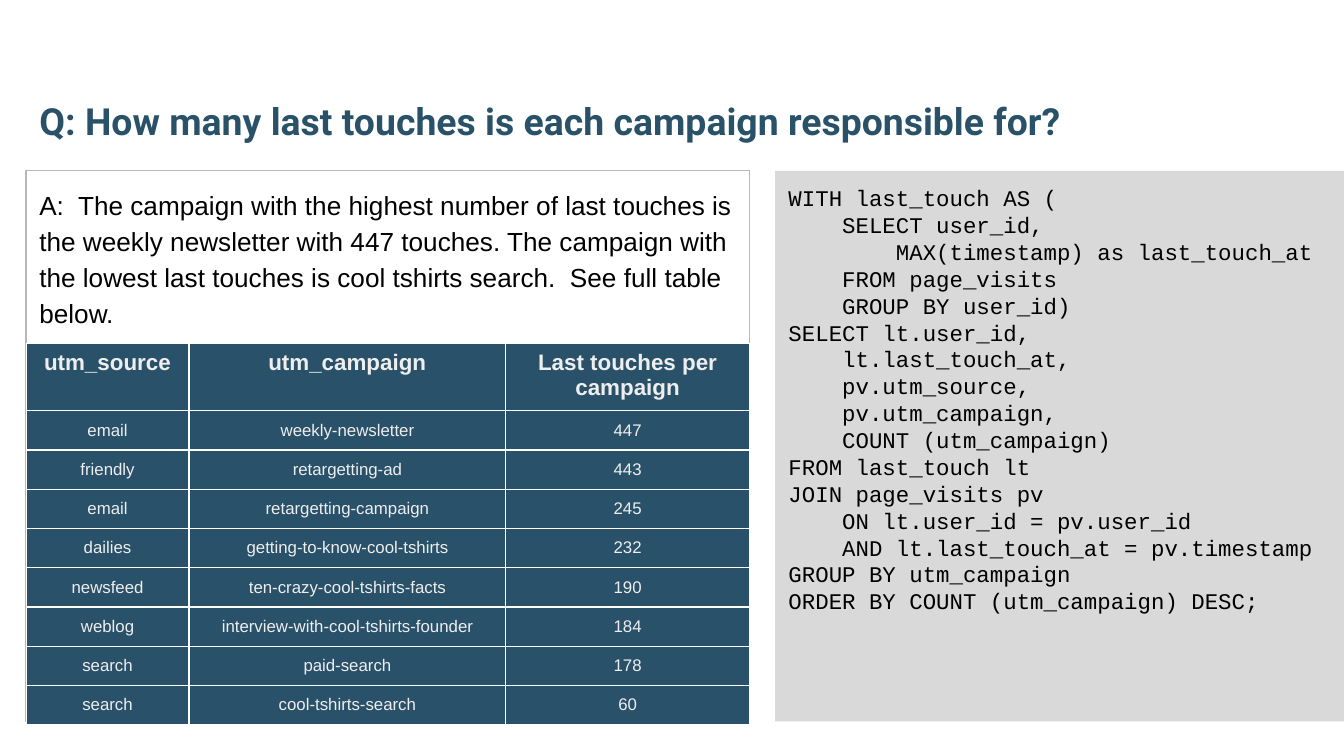
import dataclasses

import lxml.etree
import pptx
import pptx.dml.color
import pptx.enum.shapes
import pptx.enum.text
import pptx.oxml.ns
import pptx.util

Pt = pptx.util.Pt
RGB = pptx.dml.color.RGBColor.from_string
Anchor = pptx.enum.text.MSO_ANCHOR
Align = pptx.enum.text.PP_ALIGN


@dataclasses.dataclass
class Theme:
    """Colours, fonts and type sizes of the slide."""

    title: str = "295269"
    cell: str = "295169"
    cell_text: str = "EEEEEE"
    border: str = "FFFFFF"
    code_fill: str = "D9D9D9"
    outline: str = "B7B7B7"
    ink: str = "000000"
    heading_font: str = "Roboto"
    body_font: str = "Arial"
    code_font: str = "Courier New"
    title_size: float = 20
    answer_size: float = 14
    code_size: float = 12
    header_size: float = 12
    cell_size: float = 9


def write(tf, text, *, font, size, color, bold=False, align=Align.LEFT,
          anchor=Anchor.TOP, margins=(7.2, 7.2), spacing=None):
    """Fill a text frame with one paragraph per line of text."""
    tf.word_wrap = True
    tf.vertical_anchor = anchor
    tf.margin_left = tf.margin_right = Pt(margins[0])
    tf.margin_top = tf.margin_bottom = Pt(margins[1])
    for i, line in enumerate(text.split("\n")):
        p = tf.add_paragraph() if i else tf.paragraphs[0]
        p.alignment = align
        if spacing:
            p.line_spacing = spacing
        r = p.add_run()
        r.text = line
        r.font.name, r.font.size, r.font.bold = font, Pt(size), bold
        r.font.color.rgb = RGB(color)


def set_borders(cell, color, width):
    """Draw a solid line on all four sides of a cell."""
    qn = pptx.oxml.ns.qn
    tcPr = cell._tc.get_or_add_tcPr()
    for i, side in enumerate(("a:lnL", "a:lnR", "a:lnT", "a:lnB")):
        ln = lxml.etree.Element(qn(side), w=str(Pt(width)))
        fill = lxml.etree.SubElement(ln, qn("a:solidFill"))
        lxml.etree.SubElement(fill, qn("a:srgbClr"), val=color)
        tcPr.insert(i, ln)


class Deck:
    """Holds the theme and the current slide."""

    def __init__(self, prs, theme):
        """Add a blank slide to draw on."""
        self.theme = theme
        self.s = prs.slides.add_slide(prs.slide_layouts[6])

    def text(self, box, text, **fmt):
        """Add a text box."""
        sp = self.s.shapes.add_textbox(*map(Pt, box))
        write(sp.text_frame, text, **fmt)

    def panel(self, box, text, fill=None, line=None, **fmt):
        """Add a rectangle with text."""
        kind = pptx.enum.shapes.MSO_SHAPE.RECTANGLE
        sp = self.s.shapes.add_shape(kind, *map(Pt, box))
        sp.shadow.inherit = False
        if fill:
            sp.fill.solid()
            sp.fill.fore_color.rgb = RGB(fill)
        else:
            sp.fill.background()
        if line:
            sp.line.color.rgb = RGB(line)
            sp.line.width = Pt(0.75)
        else:
            sp.line.fill.background()
        write(sp.text_frame, text, **fmt)

    def table(self, left, top, widths, heights, rows):
        """Add a table whose first row is a header."""
        t = self.theme
        frame = self.s.shapes.add_table(
            len(rows), len(widths), Pt(left), Pt(top),
            Pt(sum(widths)), Pt(sum(heights)))
        table = frame.table
        for column, width in zip(table.columns, widths):
            column.width = Pt(width)
        header = dict(size=t.header_size, bold=True, margins=(7.2, 3.6))
        body = dict(size=t.cell_size, anchor=Anchor.MIDDLE, margins=(5, 2.2))
        for i, values in enumerate(rows):
            table.rows[i].height = Pt(heights[i])
            for j, value in enumerate(values):
                cell = table.cell(i, j)
                fmt = dict(body if i else header)
                margins = fmt.pop("margins")
                anchor = fmt.pop("anchor", Anchor.TOP)
                write(cell.text_frame, value, font=t.body_font,
                      color=t.cell_text, align=Align.CENTER, **fmt)
                cell.vertical_anchor = anchor
                cell.margin_left = cell.margin_right = Pt(margins[0])
                cell.margin_top = cell.margin_bottom = Pt(margins[1])
                cell.fill.solid()
                cell.fill.fore_color.rgb = RGB(t.cell)
                set_borders(cell, t.border, 0.75)


QUESTION = "Q: How many last touches is each campaign responsible for?"
ANSWER = (
    "A:  The campaign with the highest number of last touches is the weekly "
    "newsletter with 447 touches. The campaign with the lowest last touches "
    "is cool tshirts search.  See full table below.")
QUERY = """WITH last_touch AS (
    SELECT user_id,
        MAX(timestamp) as last_touch_at
    FROM page_visits
    GROUP BY user_id)
SELECT lt.user_id,
    lt.last_touch_at,
    pv.utm_source,
    pv.utm_campaign,
    COUNT (utm_campaign)
FROM last_touch lt
JOIN page_visits pv
    ON lt.user_id = pv.user_id
    AND lt.last_touch_at = pv.timestamp
GROUP BY utm_campaign
ORDER BY COUNT (utm_campaign) DESC;"""
TOUCHES = [
    ("utm_source", "utm_campaign", "Last touches per campaign"),
    ("email", "weekly-newsletter", "447"),
    ("friendly", "retargetting-ad", "443"),
    ("email", "retargetting-campaign", "245"),
    ("dailies", "getting-to-know-cool-tshirts", "232"),
    ("newsfeed", "ten-crazy-cool-tshirts-facts", "190"),
    ("weblog", "interview-with-cool-tshirts-founder", "184"),
    ("search", "paid-search", "178"),
    ("search", "cool-tshirts-search", "60"),
]


def main():
    """Build the slide and save it."""
    prs = pptx.Presentation()
    prs.slide_width, prs.slide_height = Pt(720), Pt(405)
    t = Theme()
    deck = Deck(prs, t)
    left, top, height = 14, 91.5, 295
    deck.text((left, 18, 671, 66), QUESTION, font=t.heading_font,
              size=t.title_size, color=t.title, bold=True,
              anchor=Anchor.BOTTOM)
    deck.panel((415.3, top, 304.7, height), QUERY, fill=t.code_fill,
               font=t.code_font, size=t.code_size, color=t.ink)
    deck.panel((left, top, 387.5, height), ANSWER, line=t.outline,
               font=t.body_font, size=t.answer_size, color=t.ink,
               spacing=1.15)
    deck.table(left, 184, (87.2, 169.8, 130.5), [34.2] + [21.05] * 8, TOUCHES)
    prs.save("out.pptx")


if __name__ == "__main__":
    main()
